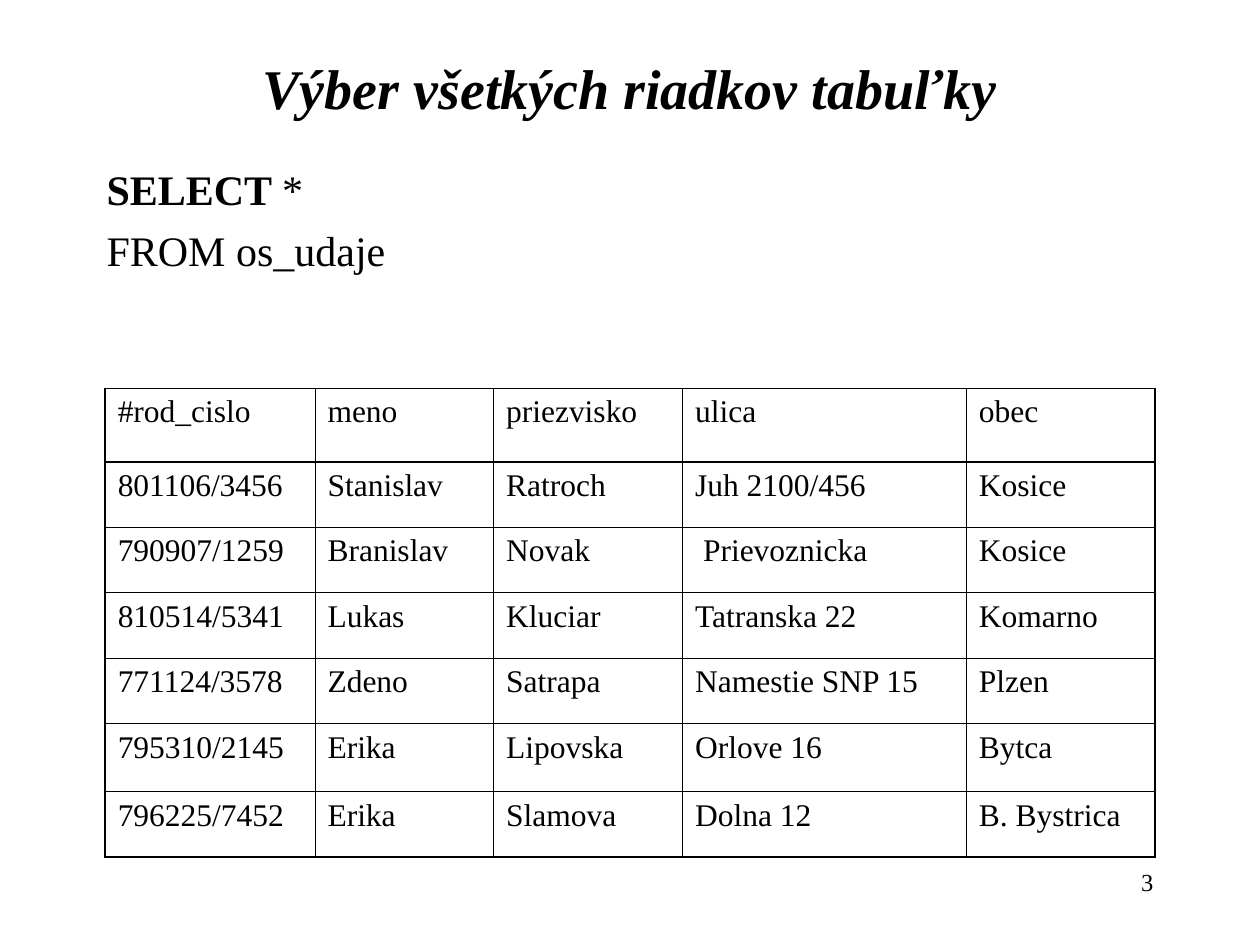
from lxml import etree
from pptx import Presentation
from pptx import util as u
from pptx.dml.color import RGBColor
from pptx.enum import text
from pptx.oxml import ns

BLACK = RGBColor(0x00, 0x00, 0x00)
FONT = "Times New Roman"
THICK, THIN = 1.08, 0.45

COLUMN_WIDTHS = [4.23, 3.6, 3.81, 5.72, 3.81]
ROW_HEIGHTS = [1.48, 1.32, 1.32, 1.32, 1.32, 1.37, 1.32]
PEOPLE = [
    ["#rod_cislo", "meno", "priezvisko", "ulica", "obec"],
    ["801106/3456", "Stanislav", "Ratroch", "Juh 2100/456", "Kosice"],
    ["790907/1259", "Branislav", "Novak", " Prievoznicka", "Kosice"],
    ["810514/5341", "Lukas", "Kluciar", "Tatranska 22", "Komarno"],
    ["771124/3578", "Zdeno", "Satrapa", "Namestie SNP 15", "Plzen"],
    ["795310/2145", "Erika", "Lipovska", "Orlove 16", "Bytca"],
    ["796225/7452", "Erika", "Slamova", "Dolna 12", "B. Bystrica"],
]


def style(paragraph, size, align=text.PP_ALIGN.LEFT):
    """Give a paragraph the slide's font, its size and its alignment."""
    paragraph.alignment = align
    paragraph.font.name = FONT
    paragraph.font.size = u.Pt(size)
    paragraph.font.color.rgb = BLACK


def add_frame(slide, box, anchor=text.MSO_ANCHOR.TOP):
    """Add a wrapping text box and return its text frame."""
    frame = slide.shapes.add_textbox(*(u.Cm(length) for length in box)).text_frame
    frame.word_wrap = True
    frame.vertical_anchor = anchor
    return frame


def add_title(slide, box):
    """Place the centred heading."""
    heading = add_frame(slide, box, text.MSO_ANCHOR.MIDDLE).paragraphs[0]
    heading.text = "Výber všetkých riadkov tabuľky"
    style(heading, 32, text.PP_ALIGN.CENTER)
    heading.font.bold = heading.font.italic = True


def add_query(slide, box):
    """Place the two lines of the query with a hanging indent."""
    frame = add_frame(slide, box)
    select, source = frame.paragraphs[0], frame.add_paragraph()
    select.add_run().text = "SELECT "
    select.runs[0].font.bold = True
    select.add_run().text = "*"
    source.text = "FROM os_udaje"
    source.space_before = u.Pt(6)
    for line in (select, source):
        properties = line._p.get_or_add_pPr()
        properties.set("marL", str(u.Cm(0.95)))
        properties.set("indent", str(u.Cm(-0.95)))
        style(line, 24)


def set_borders(cell, widths):
    """Draw the four borders of a cell in the given point widths."""
    properties = cell._tc.get_or_add_tcPr()
    for side, width in widths.items():
        line = etree.SubElement(properties, ns.qn(f"a:ln{side}"), w=str(u.Pt(width)))
        fill = etree.SubElement(line, ns.qn("a:solidFill"))
        etree.SubElement(fill, ns.qn("a:srgbClr"), val=str(BLACK))


def add_people(slide, box):
    """Place the table of people, framed and ruled below its header."""
    rows, columns = len(PEOPLE), len(COLUMN_WIDTHS)
    lengths = (u.Cm(length) for length in box)
    people = slide.shapes.add_table(rows, columns, *lengths).table
    people.first_row = people.horz_banding = False
    for column, width in zip(people.columns, COLUMN_WIDTHS):
        column.width = u.Cm(width)
    for r, (record, height) in enumerate(zip(PEOPLE, ROW_HEIGHTS)):
        people.rows[r].height = u.Cm(height)
        for c, value in enumerate(record):
            cell = people.cell(r, c)
            cell.text = value
            style(cell.text_frame.paragraphs[0], 18)
            set_borders(cell, {
                "L": THICK if c == 0 else THIN,
                "R": THICK if c == columns - 1 else THIN,
                "T": THICK if r <= 1 else THIN,
                "B": THICK if r in (0, rows - 1) else THIN,
            })
            cell.fill.background()


def add_page_number(slide, box):
    """Place the page number at the right of its box."""
    number = add_frame(slide, box).paragraphs[0]
    number.text = "3"
    style(number, 14, text.PP_ALIGN.RIGHT)


def main():
    """Build the slide and save it."""
    deck = Presentation()
    deck.slide_width, deck.slide_height = u.Cm(25.4), u.Cm(19.05)
    slide = deck.slides.add_slide(deck.slide_layouts[6])
    add_query(slide, (1.9, 3.18, 21.6, 2.74))
    add_people(slide, (2.12, 7.83, sum(COLUMN_WIDTHS), sum(ROW_HEIGHTS)))
    add_title(slide, (1.9, 0.85, 21.6, 1.83))
    add_page_number(slide, (18.2, 17.36, 5.3, 1.27))
    deck.save("out.pptx")


if __name__ == "__main__":
    main()
